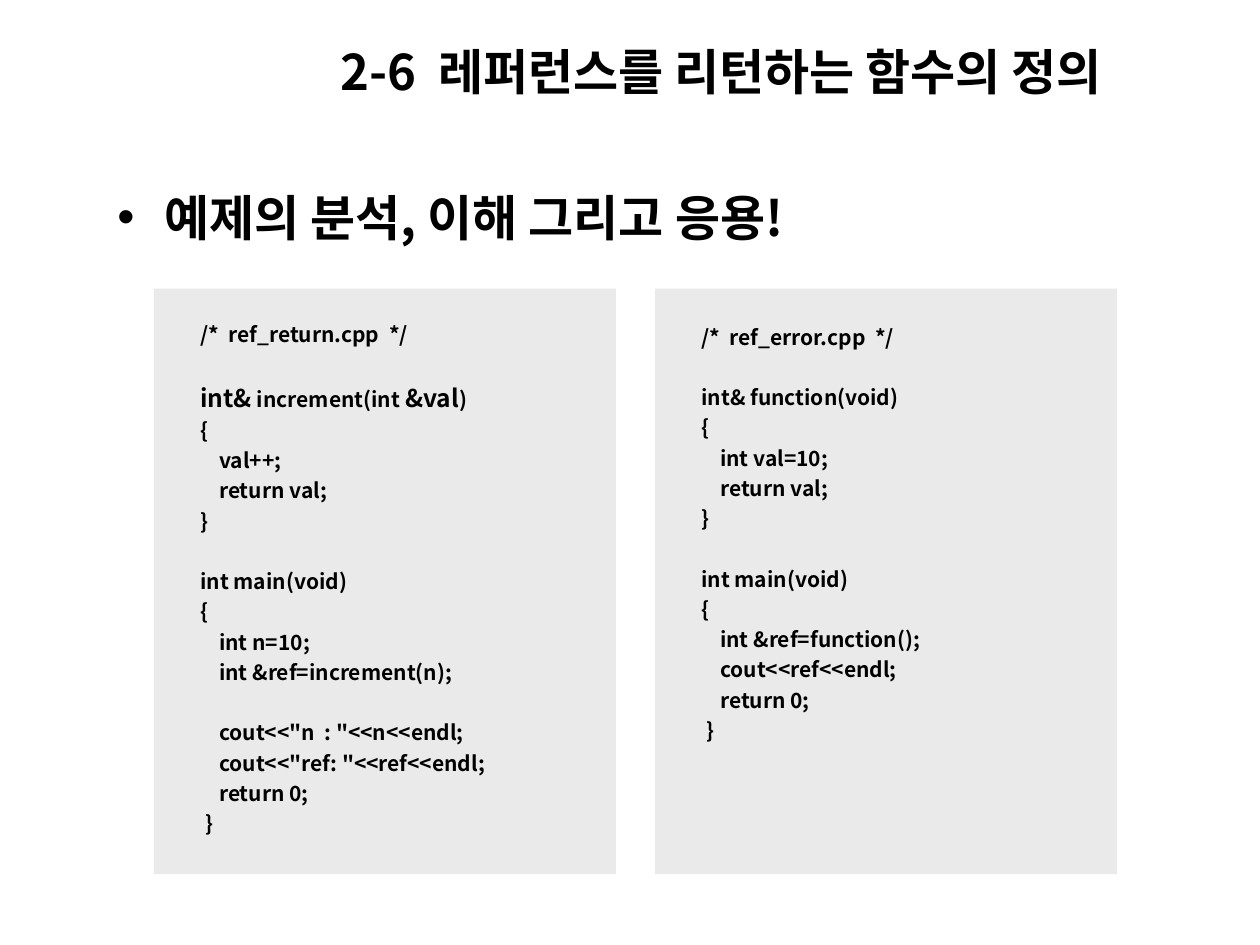
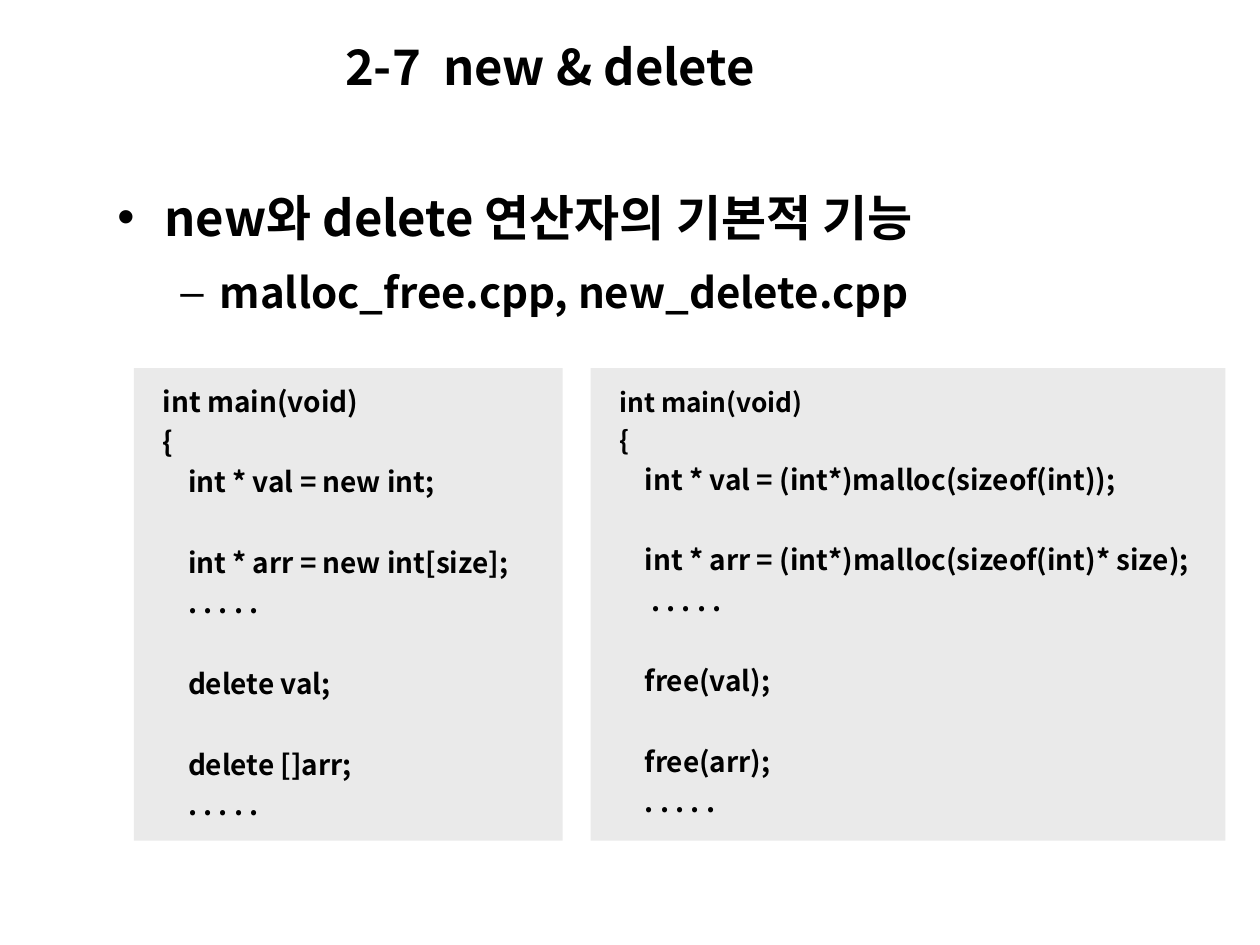
from pptx import Presentation
from pptx.dml.color import RGBColor
from pptx.enum import shapes, text
from pptx.oxml import parse_xml
from pptx.oxml.ns import nsdecls
from pptx.util import Pt

FONT = "Noto Sans CJK KR"
INK = "000000"
PANEL = "EAEAEA"
SPACE_WIDTH = 0.224
CODE_LEADING = 1.44
TITLE_LEADING = 1.2
BULLETS = [("•", 28, 27, -27, 0), ("–", 24, 58.5, -22.5, 6)]

REF_RETURN = """\
 /*  ref_return.cpp  */

 **int&** increment(int **&val**)
 {
     val++;
     return val;
 }

 int main(void)
 {
     int n=10;
     int &ref=increment(n);

     cout<<"n  : "<<n<<endl;
     cout<<"ref: "<<ref<<endl;
     return 0;
  }"""

REF_ERROR = """\
 /*  ref_error.cpp  */

 int& function(void)
 {
     int val=10;
     return val;
 }

 int main(void)
 {
     int &ref=function();
     cout<<ref<<endl;
     return 0;
  }"""

NEW_DELETE = """\
 int main(void)
 {
     int * val = new int;

     int * arr = new int[size];
     . . . . .

     delete val;

     delete []arr;
     . . . . ."""

MALLOC_FREE = """\
 int main(void)
 {
     int * val = (int*)malloc(sizeof(int));

     int * arr = (int*)malloc(sizeof(int)* size);
      . . . . .

     free(val);

     free(arr);
     . . . . ."""


def color(value):
    return RGBColor.from_string(value)


def place(sp, box):
    sp.left, sp.top, sp.width, sp.height = map(Pt, box)


def set_frame(tf, anchor, left, top, right, bottom):
    tf.word_wrap = True
    tf.auto_size = text.MSO_AUTO_SIZE.NONE
    tf.vertical_anchor = anchor
    tf.margin_left, tf.margin_top = Pt(left), Pt(top)
    tf.margin_right, tf.margin_bottom = Pt(right), Pt(bottom)


def add_run(p, words, size):
    r = p.add_run()
    r.text = words
    r.font.name, r.font.size, r.font.bold = FONT, Pt(size), True
    r.font.color.rgb = color(INK)
    r.font._element.append(parse_xml(f'<a:ea {nsdecls("a")} typeface="{FONT}"/>'))


def format_paragraph(p, leading, before=0, margin=0, indent=0):
    p.alignment = text.PP_ALIGN.LEFT
    p.line_spacing, p.space_before, p.space_after = Pt(leading), Pt(before), Pt(0)
    pPr = p._p.get_or_add_pPr()
    pPr.set("marL", str(Pt(margin)))
    pPr.set("indent", str(Pt(indent)))
    return pPr


def next_paragraph(tf, index):
    return tf.add_paragraph() if index else tf.paragraphs[0]


def add_title(s, box, words):
    sp = s.shapes.title
    place(sp, box)
    set_frame(sp.text_frame, text.MSO_ANCHOR.MIDDLE, 7.2, 5.5, 7.2, 1)
    p = sp.text_frame.paragraphs[0]
    format_paragraph(p, 28 * TITLE_LEADING)
    add_run(p, words, 28)


def add_bullets(s, box, lines):
    sp = s.placeholders[1]
    place(sp, box)
    tf = sp.text_frame
    set_frame(tf, text.MSO_ANCHOR.TOP, 7.2, 6, 7.2, 3.6)
    for level, words in enumerate(lines):
        mark, size, margin, indent, before = BULLETS[level]
        p = next_paragraph(tf, level)
        p.level = level
        pPr = format_paragraph(p, size * CODE_LEADING, before, margin, indent)
        pPr.append(parse_xml(f'<a:buClr {nsdecls("a")}><a:srgbClr val="{INK}"/></a:buClr>'))
        pPr.append(parse_xml(f'<a:buChar {nsdecls("a")} char="{mark}"/>'))
        add_run(p, words, size)


def add_code(s, box, code, size, inset, first_size=None, spare_lines=0):
    sp = s.shapes.add_shape(shapes.MSO_SHAPE.RECTANGLE, *map(Pt, box))
    sp.shadow.inherit = False
    sp.fill.solid()
    sp.fill.fore_color.rgb = color(PANEL)
    sp.line.fill.background()
    tf = sp.text_frame
    leading = size * CODE_LEADING
    set_frame(tf, text.MSO_ANCHOR.MIDDLE, inset, 2, 7.2, 8 + spare_lines * leading)
    before = count = 0
    for line in code.splitlines():
        if not line:
            before += leading
            continue
        words = line.lstrip()
        normal = first_size if first_size and count < 2 else size
        large = size + 2
        tallest = large if "**" in words else normal
        margin = (len(line) - len(words)) * SPACE_WIDTH * normal
        p = next_paragraph(tf, count)
        format_paragraph(p, tallest * CODE_LEADING, before, margin)
        for i, part in enumerate(words.split("**")):
            if part:
                add_run(p, part, large if i % 2 else normal)
        before = 0
        count += 1


def add_slide(prs, title_box, title, bullet_box, bullets):
    s = prs.slides.add_slide(prs.slide_layouts[1])
    add_title(s, title_box, title)
    add_bullets(s, bullet_box, bullets)
    return s


def main():
    prs = Presentation()
    prs.slide_width, prs.slide_height = Pt(720), Pt(540)

    s = add_slide(prs, (187.2, 18, 504.7, 41), "2-6  레퍼런스를 리턴하는 함수의 정의",
                  (59.8, 94.3, 436.3, 47.5), ["예제의 분석, 이해 그리고 응용!"])
    left, top, width, height, gap = 88, 165, 264, 334.6, 22.3
    add_code(s, (left, top, width, height), REF_RETURN, 12, 23.8)
    add_code(s, (left + width + gap, top, width, height), REF_ERROR, 12, 23.8,
             spare_lines=3)

    s = add_slide(prs, (190, 15.1, 257.8, 41), "2-7  new & delete",
                  (59.8, 94.3, 510.5, 87.8),
                  ["new와 delete 연산자의 기본적 기능", "malloc_free.cpp, new_delete.cpp"])
    left, top, width, height, gap = 76.5, 210.4, 245, 270, 16
    add_code(s, (left, top, width, height), NEW_DELETE, 16, 13)
    add_code(s, (left + width + gap, top, 362.8, height), MALLOC_FREE, 16, 13,
             first_size=15)

    prs.save("out.pptx")


if __name__ == "__main__":
    main()
